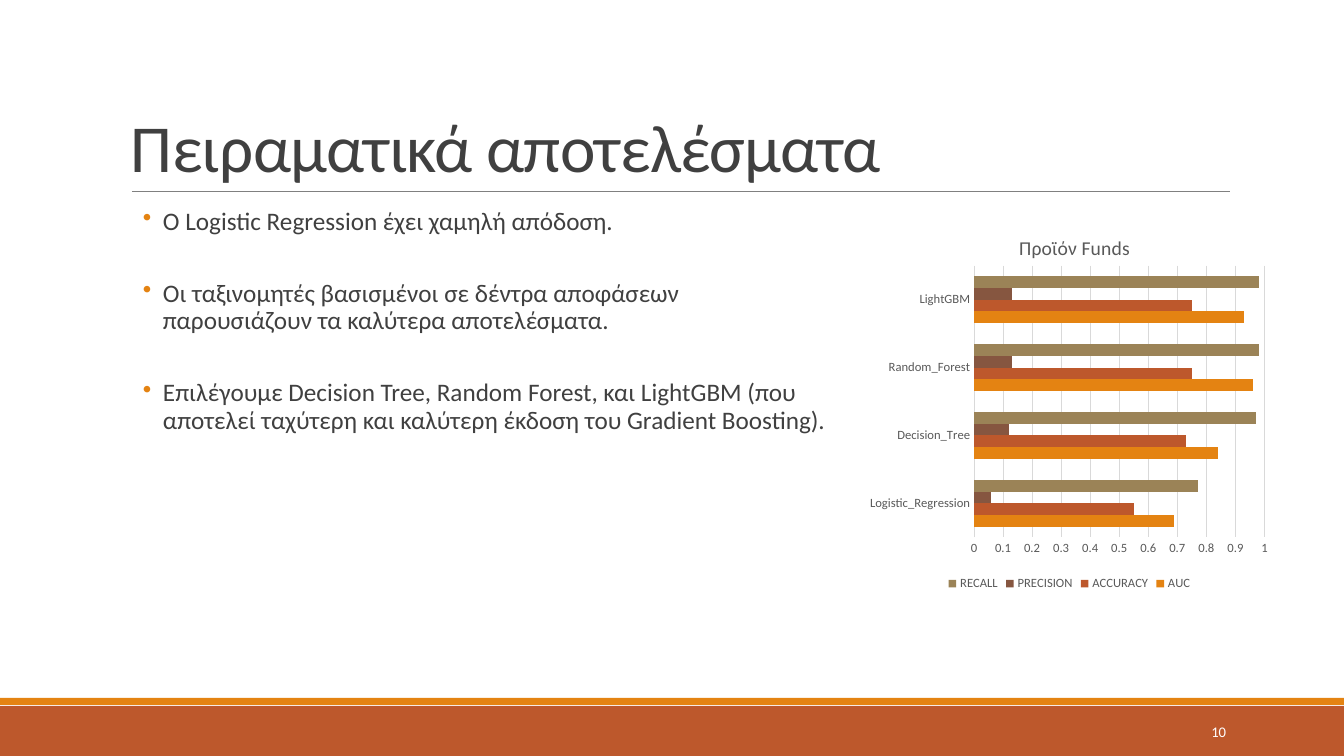
import pptx
import pptx.util
import pptx.oxml
import pptx.oxml.ns
import pptx.oxml.xmlchemy
import pptx.chart.data
import pptx.dml.color
import pptx.enum.chart
import pptx.enum.shapes
import pptx.enum.text

Pt = pptx.util.Pt
RGB = pptx.dml.color.RGBColor
ANCHOR = pptx.enum.text.MSO_ANCHOR
ALIGN = pptx.enum.text.PP_ALIGN

ORANGE = RGB(0xE4, 0x83, 0x12)
RUST = RGB(0xBD, 0x58, 0x2C)
BROWN = RGB(0x86, 0x56, 0x40)
OLIVE = RGB(0x9B, 0x83, 0x57)
DARK = RGB(0x40, 0x40, 0x40)
GRAY = RGB(0x80, 0x80, 0x80)
LABEL = RGB(0x59, 0x59, 0x59)
GRID = RGB(0xD9, 0xD9, 0xD9)
WHITE = RGB(0xFF, 0xFF, 0xFF)
FACE = "Calibri"
SCALE = 914400 / 100.8

POINTS = [
    "Ο Logistic Regression έχει χαμηλή απόδοση.",
    "Οι ταξινομητές βασισμένοι σε δέντρα αποφάσεων παρουσιάζουν τα καλύτερα αποτελέσματα.",
    "Επιλέγουμε Decision Tree, Random Forest, και LightGBM "
    "(που αποτελεί ταχύτερη και καλύτερη έκδοση του Gradient Boosting).",
]
MODELS = ["Logistic_Regression", "Decision_Tree", "Random_Forest", "LightGBM"]
SERIES = [
    ("AUC", (0.69, 0.84, 0.96, 0.93), ORANGE),
    ("ACCURACY", (0.55, 0.73, 0.75, 0.75), RUST),
    ("PRECISION", (0.06, 0.12, 0.13, 0.13), BROWN),
    ("RECALL", (0.77, 0.97, 0.98, 0.98), OLIVE),
]


def px(*sizes):
    return [pptx.util.Emu(round(size * SCALE)) for size in sizes]


def node(tag):
    return pptx.oxml.xmlchemy.OxmlElement(tag)


def style(font, size, color):
    font.name = FACE
    font.size = Pt(size)
    font.bold = False
    font.color.rgb = color


def add_band(slide, box, color):
    band = slide.shapes.add_shape(pptx.enum.shapes.MSO_SHAPE.RECTANGLE, *px(*box))
    band.shadow.inherit = False
    band.fill.solid()
    band.fill.fore_color.rgb = color
    band.line.fill.background()


def add_rule(slide, ends):
    rule = slide.shapes.add_connector(pptx.enum.shapes.MSO_CONNECTOR.STRAIGHT, *px(*ends))
    rule.line.color.rgb = GRAY
    rule.line.width = Pt(0.5)
    rule._element.spPr.append(node("a:effectLst"))


def add_text(slide, box, lines, size, color, anchor=ANCHOR.TOP):
    frame = slide.shapes.add_textbox(*px(*box)).text_frame
    frame.word_wrap = True
    frame.vertical_anchor = anchor
    frame.text = "\n".join(lines)
    for para in frame.paragraphs:
        for run in para.runs:
            style(run.font, size, color)
    return frame


def add_title(slide):
    frame = add_text(slide, (121, 31, 1109, 160), ["Πειραματικά αποτελέσματα"],
                     48, DARK, ANCHOR.BOTTOM)
    para = frame.paragraphs[0]
    para.line_spacing = 0.85
    para.runs[0].font._element.set("spc", "-50")


def add_points(slide):
    frame = add_text(slide, (121, 204, 712, 444), POINTS, 18, DARK)
    frame.margin_left = frame.margin_right = 0
    left, hang = px(42, -20)
    for para in frame.paragraphs:
        para.line_spacing = 0.9
        para.space_before = Pt(2)
        para.space_after = Pt(30)
        props = para._element.get_or_add_pPr()
        props.set("marL", str(left))
        props.set("indent", str(hang))
        names = pptx.oxml.ns.nsdecls("a")
        for mark in (f'<a:buClr {names}><a:srgbClr val="{ORANGE}"/></a:buClr>',
                     f'<a:buChar {names} char="•"/>'):
            props.append(pptx.oxml.parse_xml(mark))


def add_number(slide):
    frame = add_text(slide, (1092, 712, 144, 40), ["10"], 10.5, WHITE, ANCHOR.MIDDLE)
    frame.paragraphs[0].alignment = ALIGN.RIGHT


def place(part, **spots):
    layout = part.find(pptx.oxml.ns.qn("c:layout"))
    if layout is None:
        layout = node("c:layout")
        if part.tag == pptx.oxml.ns.qn("c:plotArea"):
            part.insert(0, layout)
        else:
            part.find(pptx.oxml.ns.qn("c:tx")).addnext(layout)
    manual = node("c:manualLayout")
    layout.append(manual)
    for key, value in spots.items():
        item = node("c:" + key)
        item.set("val", str(value))
        manual.append(item)


def style_axis(axis):
    axis.major_tick_mark = axis.minor_tick_mark = pptx.enum.chart.XL_TICK_MARK.NONE
    style(axis.tick_labels.font, 9, LABEL)


def add_bars(slide):
    data = pptx.chart.data.CategoryChartData()
    data.categories = MODELS
    for name, vals, _ in SERIES:
        data.add_series(name, vals)
    kind = pptx.enum.chart.XL_CHART_TYPE.BAR_CLUSTERED
    chart = slide.shapes.add_chart(kind, *px(862, 212, 415, 383), data).chart
    style(chart.font, 10, LABEL)

    chart.has_title = True
    title = chart.chart_title
    title.text_frame.text = "Προϊόν Funds"
    style(title.text_frame.paragraphs[0].runs[0].font, 14, LABEL)
    place(title._element, xMode="edge", yMode="edge", x=0.37, y=0.05)

    plot = chart.plots[0]
    plot.gap_width = 182
    plot.overlap = 0
    plot.vary_by_categories = False
    for bars, (_, _, color) in zip(plot.series, SERIES):
        bars.format.fill.solid()
        bars.format.fill.fore_color.rgb = color
    place(chart._chartSpace.chart.plotArea, layoutTarget="inner", xMode="edge",
          yMode="edge", x=0.27, y=0.14, w=0.7, h=0.71)

    models, scores = chart.category_axis, chart.value_axis
    style_axis(models)
    style_axis(scores)
    models.format.line.color.rgb = GRID
    models.format.line.width = Pt(0.75)
    scores.format.line.fill.background()
    scores.minimum_scale = 0
    scores.maximum_scale = 1
    scores.major_unit = 0.1
    scores.tick_labels.number_format = "General"
    scores.tick_labels.number_format_is_linked = False
    scores.major_gridlines.format.line.color.rgb = GRID
    scores.major_gridlines.format.line.width = Pt(0.75)

    chart.has_legend = True
    chart.legend.position = pptx.enum.chart.XL_LEGEND_POSITION.BOTTOM
    chart.legend.include_in_layout = False
    style(chart.legend.font, 9, LABEL)


def main():
    deck = pptx.Presentation()
    deck.slide_width, deck.slide_height = px(1344, 756)
    slide = deck.slides.add_slide(deck.slide_layouts[6])
    add_band(slide, (0, 706, 1344, 50), RUST)
    add_band(slide, (0, 698, 1344, 7), ORANGE)
    add_rule(slide, (132, 191, 1230, 191))
    add_title(slide)
    add_points(slide)
    add_number(slide)
    add_bars(slide)
    deck.save("out.pptx")


if __name__ == "__main__":
    main()
